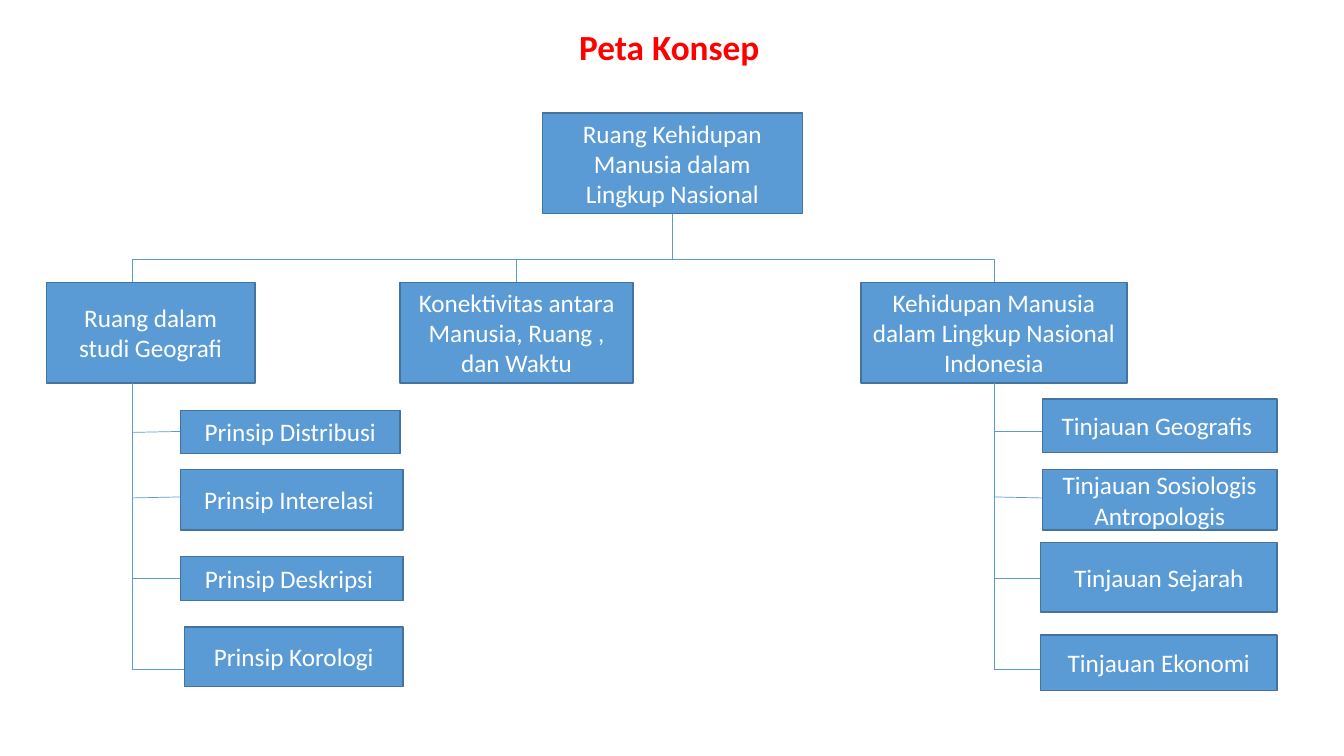
"""Builds the concept map slide on a grid of tenth-inch cells."""
from dataclasses import dataclass
from typing import Any, NamedTuple

from lxml.etree import SubElement
from pptx import Presentation
from pptx.dml.color import RGBColor
from pptx.enum.shapes import MSO_CONNECTOR, MSO_SHAPE
from pptx.enum.text import MSO_ANCHOR, PP_ALIGN
from pptx.oxml.ns import qn
from pptx.util import Inches, Pt


@dataclass(frozen=True)
class Theme:
    """Colours, type and line sizes."""
    face: str = "Calibri"
    fill: RGBColor = RGBColor(0x5B, 0x9B, 0xD5)
    edge: RGBColor = RGBColor(0x43, 0x73, 0x9E)
    text: RGBColor = RGBColor(0xFF, 0xFF, 0xFF)
    head: RGBColor = RGBColor(0xFF, 0x00, 0x00)
    body: float = 18
    title: float = 25.2
    rim: float = 1
    wire: float = 0.5


class Box(NamedTuple):
    """Label with its left, top, width and height in cells."""
    label: str
    x: float
    y: float
    w: float
    h: float


class Leaf(NamedTuple):
    """Box reached by a twig from one row to another."""
    box: Box
    start: float
    end: float


class Branch(NamedTuple):
    """Main box under the bar, with its stem column and leaves."""
    box: Box
    stem: float
    leaves: tuple[Leaf, ...] = ()


THEME = Theme()
BAR, FOOT = 25.7, 66.4
TOP, TALL = 28, 10
TITLE = Box("Peta Konsep", 9.2, 0, 114.4, 12.6)
ROOT = Box("Ruang Kehidupan Manusia dalam Lingkup Nasional", 53.8, 11.2, 25.8, TALL)
BRANCHES = (
    Branch(Box("Ruang dalam studi Geografi", 4.6, TOP, 20.7, TALL), 13.1, (
        Leaf(Box("Prinsip Distribusi", 17.9, 40.7, 21.8, 4.3), 42.9, 42.8),
        Leaf(Box("Prinsip Interelasi ", 17.9, 46.6, 22.1, 6), 49.4, 49.3),
        Leaf(Box("Prinsip Deskripsi ", 17.9, 55.2, 22.1, 4.4), 57.4, 57.4),
        Leaf(Box("Prinsip Korologi", 18.3, 62.2, 21.7, 5.9), FOOT, FOOT),
    )),
    Branch(Box("Konektivitas antara Manusia, Ruang , dan Waktu", 39.7, TOP, 23.1, TALL), 51.2),
    Branch(Box("Kehidupan Manusia dalam Lingkup Nasional Indonesia", 85.4, TOP, 26.4, TALL), 98.6, (
        Leaf(Box("Tinjauan Geografis ", 103.4, 39.6, 23.3, 5.3), 42.8, 42.8),
        Leaf(Box("Tinjauan Sosiologis Antropologis", 103.4, 46.6, 23.3, 6), 49.3, 49.4),
        Leaf(Box("Tinjauan Sejarah", 103.2, 53.8, 23.5, 6.9), 57.4, 57.4),
        Leaf(Box("Tinjauan Ekonomi", 103.2, 63, 23.5, 5.5), FOOT, FOOT),
    )),
)


def cell(n: float) -> int:
    """Turn grid cells into a length."""
    return Inches(n / 10)


def style(item: Any, form: dict[str, Any]) -> None:
    """Set each format value on an item."""
    for key, value in form.items():
        setattr(item, key, value)


def write(shape: Any, label: str, font: dict[str, Any]) -> None:
    """Put centred text in a shape."""
    frame = shape.text_frame
    style(frame, {"word_wrap": True, "vertical_anchor": MSO_ANCHOR.MIDDLE})
    line = frame.paragraphs[0]
    line.alignment = PP_ALIGN.CENTER
    run = line.add_run()
    run.text = label
    style(run.font, {"name": THEME.face} | font)


def wire(slide: Any, x1: float, y1: float, x2: float, y2: float) -> None:
    """Draw a thin line between two grid points."""
    link = slide.shapes.add_connector(MSO_CONNECTOR.STRAIGHT, *map(cell, (x1, y1, x2, y2)))
    link.line.width = Pt(THEME.wire)
    link.line.color.rgb = THEME.fill
    SubElement(link._element.spPr, qn("a:effectLst"))


def block(slide: Any, box: Box) -> None:
    """Draw a filled box with its label."""
    shape = slide.shapes.add_shape(MSO_SHAPE.RECTANGLE, *map(cell, box[1:]))
    shape.shadow.inherit = False
    shape.fill.solid()
    shape.fill.fore_color.rgb = THEME.fill
    shape.line.color.rgb = THEME.edge
    shape.line.width = Pt(THEME.rim)
    write(shape, box.label, {"size": Pt(THEME.body)})
    shape.text_frame.paragraphs[0].runs[0].font.color.rgb = THEME.text


def title(slide: Any) -> None:
    """Draw the heading."""
    shape = slide.shapes.add_textbox(*map(cell, TITLE[1:]))
    write(shape, TITLE.label, {"size": Pt(THEME.title), "bold": True})
    shape.text_frame.margin_bottom = cell(3.4)
    line = shape.text_frame.paragraphs[0]
    line.line_spacing = 0.9
    line.runs[0].font.color.rgb = THEME.head


def grow(slide: Any, part: Branch) -> None:
    """Draw a branch with its leaves."""
    wire(slide, part.stem, BAR, part.stem, TOP)
    block(slide, part.box)
    if part.leaves:
        wire(slide, part.stem, TOP + TALL, part.stem, FOOT)
    for leaf in part.leaves:
        wire(slide, part.stem, leaf.start, leaf.box.x, leaf.end)
        block(slide, leaf.box)


def main() -> None:
    """Build and save the slide."""
    deck = Presentation()
    style(deck, {"slide_width": cell(133.33), "slide_height": cell(75)})
    slide = deck.slides.add_slide(deck.slide_layouts[6])
    title(slide)
    block(slide, ROOT)
    mid = ROOT.x + ROOT.w / 2
    wire(slide, mid, ROOT.y + ROOT.h, mid, BAR)
    wire(slide, BRANCHES[0].stem, BAR, BRANCHES[-1].stem, BAR)
    for part in BRANCHES:
        grow(slide, part)
    deck.save("out.pptx")


main()
